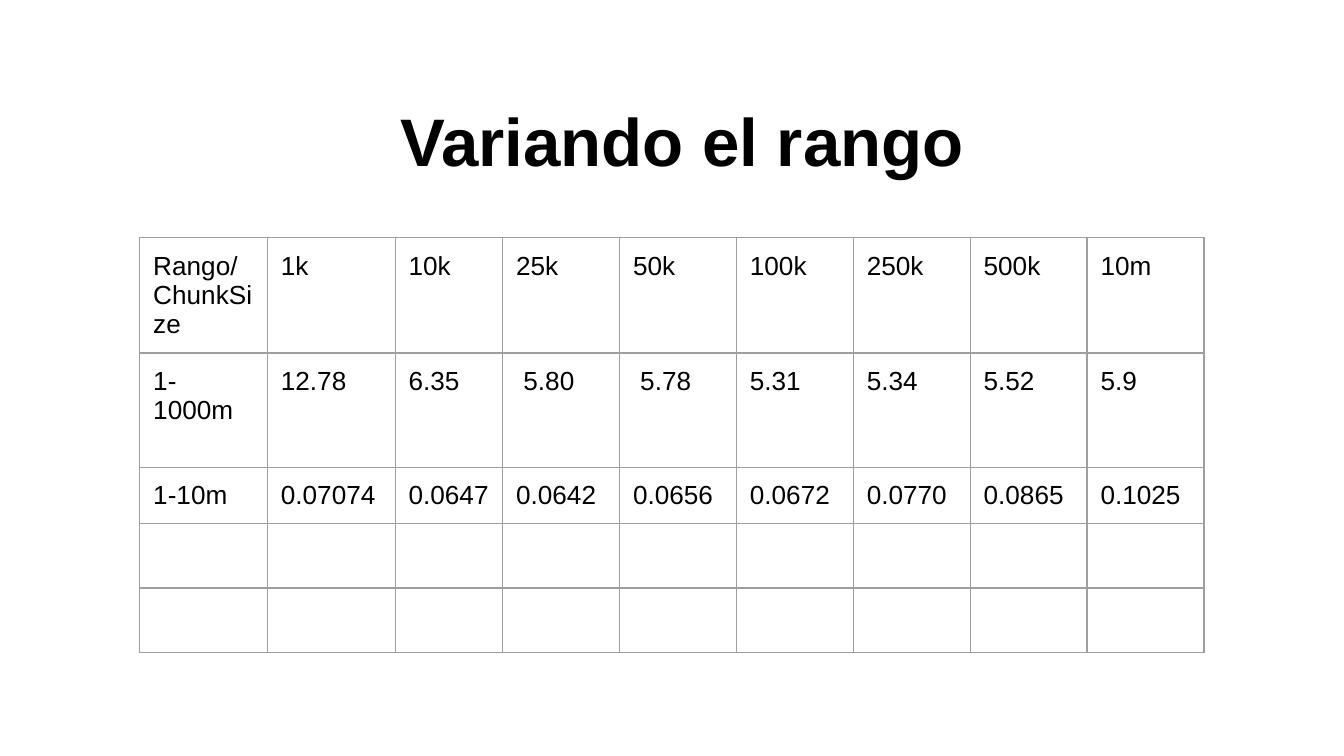
from dataclasses import dataclass

from lxml import etree
from pptx import Presentation
from pptx.dml.color import RGBColor
from pptx.enum import text
from pptx.oxml.ns import qn
from pptx.util import Inches, Pt

COLORS = {"text": "000000", "border": "9E9E9E", "background": "FFFFFF"}
FONT = "Arial"
TABLE_SIZE = Pt(14)
INSET = Inches(0.1)
COLUMN_WIDTHS = [0.95, 0.95, 0.8] + [0.87] * 6


@dataclass
class Row:
    height: float
    values: tuple[str, ...] = ("",) * len(COLUMN_WIDTHS)


ROWS = [
    Row(0.85, ("Rango/ChunkSize", "1k", "10k", "25k", "50k",
               "100k", "250k", "500k", "10m")),
    Row(0.85, ("1-1000m", "12.78", "6.35", " 5.80", " 5.78",
               "5.31", "5.34", "5.52", "5.9")),
    Row(0.42, ("1-10m", "0.07074", "0.0647", "0.0642", "0.0656",
               "0.0672", "0.0770", "0.0865", "0.1025")),
    Row(0.48),
    Row(0.48),
]


def format_runs(paragraph, size: Pt, bold: bool = False) -> None:
    for run in paragraph.runs:
        run.font.name = FONT
        run.font.size = size
        run.font.bold = bold
        run.font.color.rgb = RGBColor.from_string(COLORS["text"])


def set_insets(target) -> None:
    """Give a cell or a text frame the same margin on all four sides."""
    for side in ("left", "right", "top", "bottom"):
        setattr(target, f"margin_{side}", INSET)


def set_borders(cell) -> None:
    properties = cell._tc.get_or_add_tcPr()
    for index, edge in enumerate(("lnL", "lnR", "lnT", "lnB")):
        line = etree.Element(qn(f"a:{edge}"), w=str(Pt(0.75)))
        fill = etree.SubElement(line, qn("a:solidFill"))
        etree.SubElement(fill, qn("a:srgbClr"), val=COLORS["border"])
        properties.insert(index, line)


def set_empty_size(paragraph) -> None:
    """Size an empty paragraph so that it does not stretch its row."""
    etree.SubElement(paragraph._p, qn("a:endParaRPr"),
                     sz=str(int(TABLE_SIZE.pt * 100)))


def add_title(slide, title: str) -> None:
    shape = slide.shapes.title
    shape.left, shape.top = Inches(1.43), Inches(0.64)
    shape.width, shape.height = Inches(7.29), Inches(0.92)
    frame = shape.text_frame
    frame.text = title
    frame.word_wrap = True
    frame.auto_size = text.MSO_AUTO_SIZE.NONE
    frame.vertical_anchor = text.MSO_ANCHOR.MIDDLE
    set_insets(frame)
    frame.margin_bottom = Inches(0.22)
    paragraph = frame.paragraphs[0]
    paragraph.alignment = text.PP_ALIGN.CENTER
    format_runs(paragraph, Pt(36), bold=True)


def add_results_table(slide, rows: list[Row]) -> None:
    table = slide.shapes.add_table(
        len(rows), len(COLUMN_WIDTHS), Inches(1.04), Inches(1.77),
        Inches(sum(COLUMN_WIDTHS)), Inches(sum(row.height for row in rows)),
    ).table
    table.first_row = table.horz_banding = False
    for column, width in zip(table.columns, COLUMN_WIDTHS):
        column.width = Inches(width)
    for table_row, row in zip(table.rows, rows):
        table_row.height = Inches(row.height)
        for cell, value in zip(table_row.cells, row.values):
            cell.fill.background()
            set_insets(cell)
            set_borders(cell)
            paragraph = cell.text_frame.paragraphs[0]
            if value:
                paragraph.text = value
                format_runs(paragraph, TABLE_SIZE)
            else:
                set_empty_size(paragraph)


def main() -> None:
    presentation = Presentation()
    presentation.slide_width = Inches(10)
    presentation.slide_height = presentation.slide_width * 9 // 16
    slide = presentation.slides.add_slide(presentation.slide_layouts[5])
    background = slide.background.fill
    background.solid()
    background.fore_color.rgb = RGBColor.from_string(COLORS["background"])
    add_results_table(slide, ROWS)
    add_title(slide, "Variando el rango")
    presentation.save("out.pptx")


if __name__ == "__main__":
    main()
